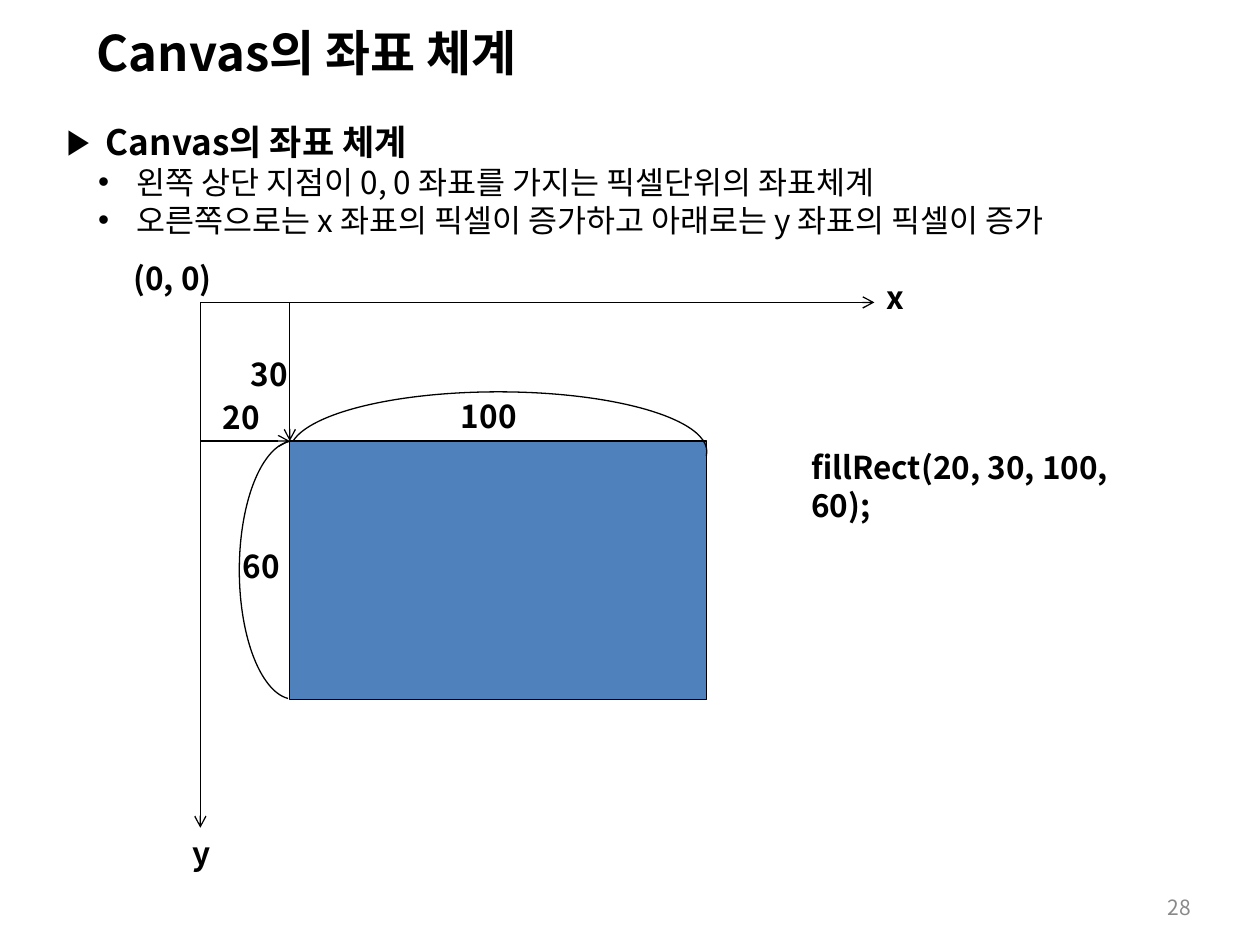
"""Builds the slide that explains the Canvas coordinate system."""
from lxml.etree import SubElement
from pptx import Presentation
from pptx.dml.color import RGBColor
from pptx.enum.shapes import MSO_CONNECTOR as Connector, MSO_SHAPE as Shape
from pptx.enum.text import MSO_ANCHOR as Anchor, PP_ALIGN as Align
from pptx.oxml.ns import qn
from pptx.util import Inches, Pt

FONT = "Noto Sans CJK KR"


def color(value):
    """Turn a hex string into a colour."""
    return RGBColor.from_string(value)


def write(paragraph, text, size, bold=True, ink="000000"):
    """Put styled text in a paragraph."""
    paragraph.text = text
    font = paragraph.font
    font.size, font.bold, font.name = Pt(size), bold, FONT
    font.color.rgb = color(ink)
    SubElement(font._element, qn("a:ea"), typeface=FONT)


deck = Presentation()
deck.slide_width, deck.slide_height = Inches(10), Inches(7.5)
slide = deck.slides.add_slide(deck.slide_layouts[6])
shapes = slide.shapes

origin_x, origin_y = 1.59, 2.4
rect_x, rect_y, rect_w, rect_h = 2.3, 3.5, 3.31, 2.05

rectangle = shapes.add_shape(
    Shape.RECTANGLE, Inches(rect_x), Inches(rect_y), Inches(rect_w), Inches(rect_h))
rectangle.fill.solid()
rectangle.fill.fore_color.rgb = color("4F81BD")

width_arc = shapes.add_shape(
    Shape.ARC, Inches(rect_x), Inches(3.11), Inches(rect_w), Inches(0.95))
height_arc = shapes.add_shape(
    Shape.ARC, Inches(1.9), Inches(rect_y), Inches(0.87), Inches(rect_h))
for arc, angles in ((width_arc, (109.88, 0.66)), (height_arc, (55.65, 160.72))):
    arc.fill.background()
    arc.adjustments[0], arc.adjustments[1] = angles

for outline in (rectangle, width_arc, height_arc):
    outline.shadow.inherit = False
    outline.line.color.rgb = color("000000")
    outline.line.width = Pt(0.75)

for x1, y1, x2, y2 in (
    (origin_x, origin_y, origin_x, 6.57),
    (origin_x, origin_y, 6.94, origin_y),
    (rect_x, origin_y, rect_x, rect_y),
    (origin_x, rect_y, rect_x, rect_y),
):
    arrow = shapes.add_connector(
        Connector.STRAIGHT, Inches(x1), Inches(y1), Inches(x2), Inches(y2))
    arrow.line.color.rgb = color("000000")
    arrow.line.width = Pt(0.75)
    SubElement(arrow.line._get_or_add_ln(), qn("a:tailEnd"), type="arrow")
    SubElement(arrow._element.spPr, qn("a:effectLst"))

for text, left, top, width, height, size, wrap in (
    ("Canvas의 좌표 체계", 0.67, 0.13, 3.74, 0.57, 28, False),
    ("(0, 0)", 0.96, 2.01, 0.83, 0.4, 18, False),
    ("x", 6.94, 2.16, 0.34, 0.4, 18, True),
    ("y", 1.43, 6.57, 0.34, 0.4, 18, True),
    ("30", 1.89, 2.77, 0.55, 0.4, 18, True),
    ("20", 1.67, 3.11, 0.55, 0.4, 18, True),
    ("100", 3.56, 3.1, 0.71, 0.4, 18, True),
    ("60", 1.83, 4.29, 0.55, 0.4, 18, True),
    ("fillRect(20, 30, 100, 60);", 6.34, 3.51, 3.05, 0.4, 18, True),
):
    label = shapes.add_textbox(Inches(left), Inches(top), Inches(width), Inches(height))
    label.text_frame.word_wrap = wrap
    write(label.text_frame.paragraphs[0], text, size)

summary = shapes.add_textbox(Inches(0.43), Inches(0.91), Inches(9.14), Inches(1.04)).text_frame
summary.word_wrap = True
for index, (text, level, bullet, size) in enumerate((
    (" Canvas의 좌표 체계", 0, "▶", 20),
    (" 왼쪽 상단 지점이 0, 0 좌표를 가지는 픽셀단위의 좌표체계", 1, "•", 18),
    (" 오른쪽으로는 x 좌표의 픽셀이 증가하고 아래로는 y 좌표의 픽셀이 증가", 1, "•", 18),
)):
    point = summary.add_paragraph() if index else summary.paragraphs[0]
    point.level = level
    properties = point._p.get_or_add_pPr()
    properties.set("marL", str(Inches(0.25 + 0.25 * level)))
    properties.set("indent", str(Inches(-0.25)))
    SubElement(properties, qn("a:buFont"), typeface="Arial")
    SubElement(properties, qn("a:buChar"), char=bullet)
    write(point, text, size, bold=level == 0)

page_number = shapes.add_textbox(Inches(7.22), Inches(7), Inches(2.33), Inches(0.4)).text_frame
page_number.word_wrap = True
page_number.vertical_anchor = Anchor.MIDDLE
page_number.paragraphs[0].alignment = Align.RIGHT
write(page_number.paragraphs[0], "28", 12, bold=False, ink="898989")

deck.save("out.pptx")
